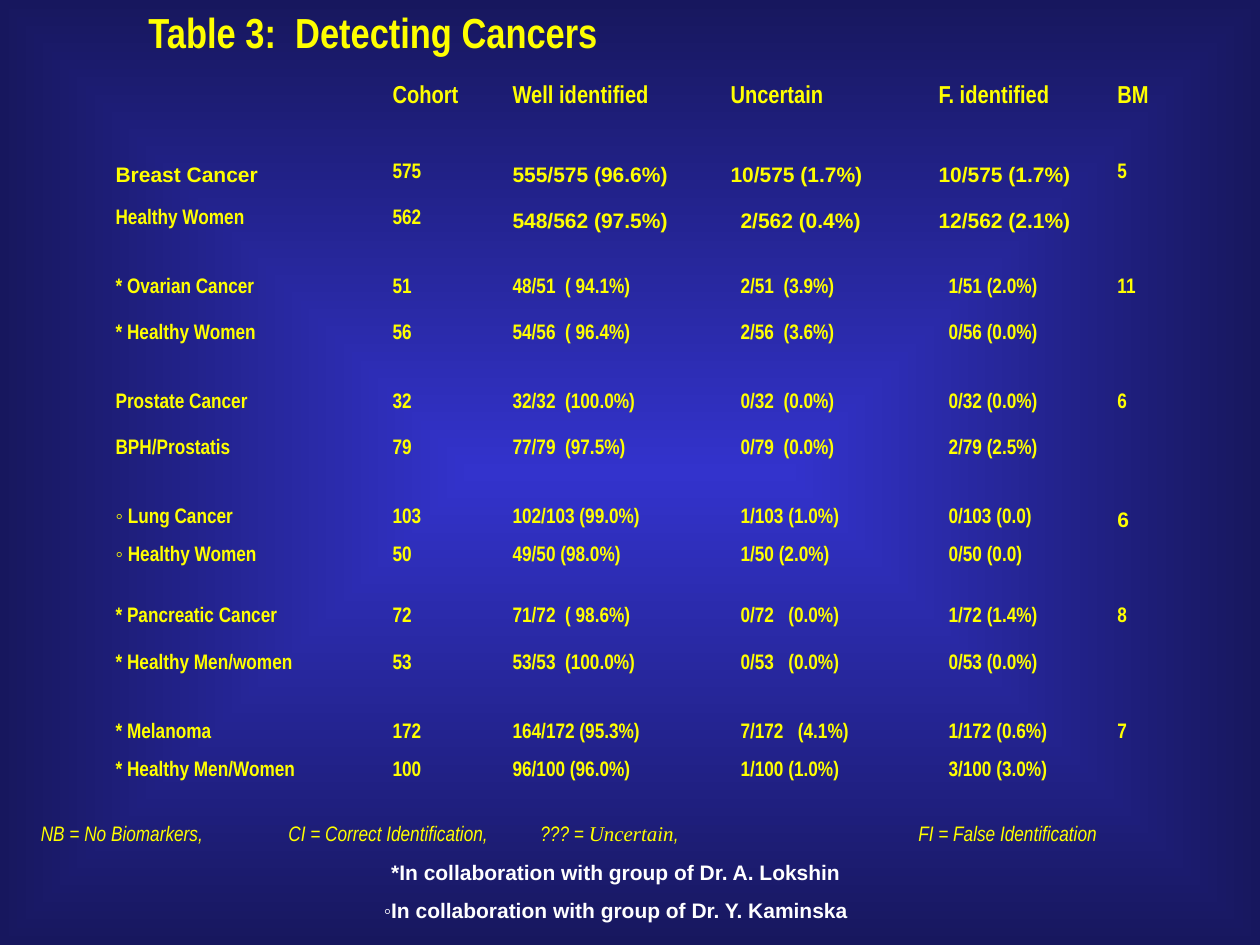
import pptx
import pptx.dml.color
import pptx.enum.text
import pptx.oxml
import pptx.oxml.ns
import pptx.util

YELLOW = pptx.dml.color.RGBColor(0xFF, 0xFF, 0x00)
WHITE = pptx.dml.color.RGBColor(0xFF, 0xFF, 0xFF)
ROYAL_BLUE = pptx.dml.color.RGBColor(0x33, 0x33, 0xCC)
NAVY = pptx.dml.color.RGBColor(0x17, 0x17, 0x5E)

ALIGN = pptx.enum.text.PP_ALIGN
PX_PER_INCH = 126
NARROW = "Arial Narrow"
WIDE = "Arial"
NO_GRID_STYLE = "{2D5ABB26-0587-4C30-8999-92F81FD0307C}"

COLUMN_WIDTHS = [277, 120, 218, 208, 179, 79]
ROW_HEIGHTS = [78, 46, 69, 46, 69, 46, 69, 38, 61, 47, 69, 38, 46]
RESULTS = [
    ["", "Cohort", "Well identified", "Uncertain", "F. identified", "BM"],
    ["Breast Cancer", "575", "555/575 (96.6%)", "10/575 (1.7%)", "10/575 (1.7%)", "5"],
    ["Healthy Women", "562", "548/562 (97.5%)", "2/562 (0.4%)", "12/562 (2.1%)", ""],
    ["* Ovarian Cancer", "51", "48/51  ( 94.1%)", "2/51  (3.9%)", "1/51 (2.0%)", "11"],
    ["* Healthy Women", "56", "54/56  ( 96.4%)", "2/56  (3.6%)", "0/56 (0.0%)", ""],
    ["Prostate Cancer", "32", "32/32  (100.0%)", "0/32  (0.0%)", "0/32 (0.0%)", "6"],
    ["BPH/Prostatis", "79", "77/79  (97.5%)", "0/79  (0.0%)", "2/79 (2.5%)", ""],
    ["◦ Lung Cancer", "103", "102/103 (99.0%)", "1/103 (1.0%)", "0/103 (0.0)", "6"],
    ["◦ Healthy Women", "50", "49/50 (98.0%)", "1/50 (2.0%)", "0/50 (0.0)", ""],
    ["* Pancreatic Cancer", "72", "71/72  ( 98.6%)", "0/72   (0.0%)", "1/72 (1.4%)", "8"],
    ["* Healthy Men/women", "53", "53/53  (100.0%)", "0/53   (0.0%)", "0/53 (0.0%)", ""],
    ["* Melanoma", "172", "164/172 (95.3%)", "7/172   (4.1%)", "1/172 (0.6%)", "7"],
    ["* Healthy Men/Women", "100", "96/100 (96.0%)", "1/100 (1.0%)", "3/100 (3.0%)", ""],
]
WIDE_CELLS = {(1, 0), (1, 2), (1, 3), (1, 4), (2, 2), (2, 3), (2, 4), (7, 5)}
INDENTED_CELLS = {(2, 3)} | {(row, column) for row in range(3, 13) for column in (3, 4)}


def px(length):
    return pptx.util.Emu(round(length * 914400 / PX_PER_INCH))


def write(paragraph, text, size=12, font=NARROW, color=YELLOW, bold=False, italic=False):
    run = paragraph.add_run()
    run.text = text
    run.font.size = pptx.util.Pt(size)
    run.font.name = font
    run.font.color.rgb = color
    run.font.bold = bold
    run.font.italic = italic


class Deck:
    def __init__(self, width, height):
        self.presentation = pptx.Presentation()
        self.presentation.slide_width = px(width)
        self.presentation.slide_height = px(height)
        self.slide = self.presentation.slides.add_slide(self.presentation.slide_layouts[6])

    def glow(self, center, edge):
        fill = self.slide.background.fill
        fill.gradient()
        for stop, color in zip(fill.gradient_stops, (center, edge)):
            stop.color.rgb = color
        gradient = self.slide.element.find(".//" + pptx.oxml.ns.qn("a:gradFill"))
        gradient.remove(gradient.find(pptx.oxml.ns.qn("a:lin")))
        gradient.append(pptx.oxml.parse_xml(
            f'<a:path {pptx.oxml.ns.nsdecls("a")} path="rect">'
            '<a:fillToRect l="50000" t="50000" r="50000" b="50000"/></a:path>'))

    def textbox(self, left, top, width, height, wrap=True):
        box = self.slide.shapes.add_textbox(px(left), px(top), px(width), px(height))
        frame = box.text_frame
        frame.word_wrap = wrap
        frame.auto_size = pptx.enum.text.MSO_AUTO_SIZE.SHAPE_TO_FIT_TEXT
        return frame

    def inch_tabs(self, paragraph):
        stops = "".join(f'<a:tab pos="{inch * 914400}" algn="l"/>' for inch in range(8))
        paragraph._p.get_or_add_pPr().append(pptx.oxml.parse_xml(
            f'<a:tabLst {pptx.oxml.ns.nsdecls("a")}>{stops}</a:tabLst>'))

    def table(self, left, top, widths, heights, rows):
        frame = self.slide.shapes.add_table(
            len(rows), len(widths), px(left), px(top), px(sum(widths)), px(sum(heights)))
        table = frame.table
        table.first_row = False
        table.horz_banding = False
        table._tbl.tblPr.find(pptx.oxml.ns.qn("a:tableStyleId")).text = NO_GRID_STYLE
        for column, width in zip(table.columns, widths):
            column.width = px(width)
        for row, height in zip(table.rows, heights):
            row.height = px(height)
        for row, texts in enumerate(rows):
            for column, text in enumerate(texts):
                self.fill_cell(table.cell(row, column), row, column, text)

    def fill_cell(self, cell, row, column, text):
        cell.fill.background()
        paragraph = cell.text_frame.paragraphs[0]
        size = 12 if row else 14
        if not text:
            paragraph._p.get_or_add_endParaRPr().set("sz", str(size * 100))
            return
        if column == 5:
            paragraph.alignment = ALIGN.JUSTIFY
        else:
            paragraph.space_before = pptx.util.Pt(size / 4)
        if (row, column) in INDENTED_CELLS:
            paragraph._p.get_or_add_pPr().set("marL", str(px(10)))
        font = WIDE if (row, column) in WIDE_CELLS else NARROW
        write(paragraph, text, size=size, font=font, bold=True)


def main():
    deck = Deck(1260, 945)
    deck.glow(ROYAL_BLUE, NAVY)
    deck.table(103, 79, COLUMN_WIDTHS, ROW_HEIGHTS, RESULTS)

    title = deck.textbox(136, 0, 591, 63, wrap=False)
    write(title.paragraphs[0], "Table 3:  Detecting Cancers", size=24, bold=True)

    legend = deck.textbox(24, 814, 1152, 38).paragraphs[0]
    legend.alignment = ALIGN.JUSTIFY
    deck.inch_tabs(legend)
    write(legend, " ", size=11)
    write(legend, "NB = No Biomarkers,\tCI = Correct Identification,\t??? = ", italic=True)
    write(legend, "Uncertain", font="Times New Roman", italic=True)
    write(legend, ",\t\tFI = False Identification", italic=True)

    credits = deck.textbox(44, 853, 1144, 77)
    collaborations = ["*In collaboration with group of Dr. A. Lokshin",
                      "◦In collaboration with group of Dr. Y. Kaminska"]
    for index, collaboration in enumerate(collaborations):
        credit = credits.add_paragraph() if index else credits.paragraphs[0]
        credit.alignment = ALIGN.CENTER
        credit.space_before = pptx.util.Pt(7.5)
        write(credit, collaboration, font=WIDE, color=WHITE, bold=True)

    deck.presentation.save("out.pptx")


if __name__ == "__main__":
    main()
